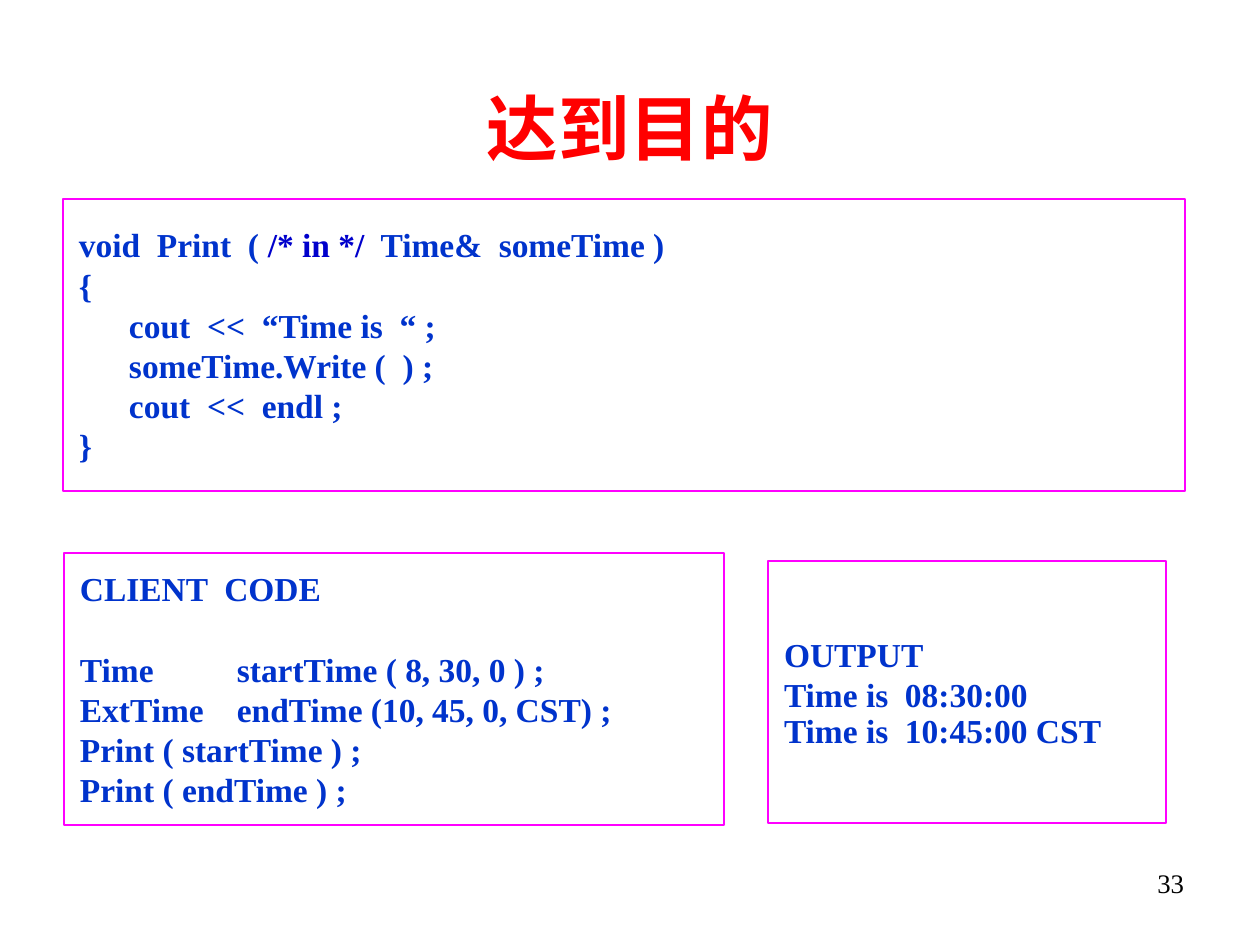
from lxml import etree
from pptx import Presentation
from pptx.dml.color import RGBColor
from pptx.enum.shapes import MSO_SHAPE
from pptx.enum.text import MSO_ANCHOR, PP_ALIGN
from pptx.oxml.ns import qn
from pptx.util import Pt

RECT = MSO_SHAPE.RECTANGLE
TOP, MIDDLE = MSO_ANCHOR.TOP, MSO_ANCHOR.MIDDLE
LEFT, CENTER, RIGHT = PP_ALIGN.LEFT, PP_ALIGN.CENTER, PP_ALIGN.RIGHT

EMU_PER_PX = 5690
SLIDE = (1260, 945)
FONT = "Times New Roman"
RED, BLUE, NAVY, MAGENTA, BLACK = "FF0000", "0033CC", "0000CC", "FF00FF", "000000"
NAME_TAB = 157  # where the variable names line up in the client code

# text, box, size, colour, bold, alignment, anchor
LABELS = [
    ("达到目的", (42, 77, 1176, 100), 32, RED, True, CENTER, MIDDLE),
    ("33", (903, 860, 294, 66), 12, BLACK, False, RIGHT, TOP),
]

# box, lines; a line is a list of (text, colour) runs
PANELS = {
    "function": ((63, 199, 1122, 292), [
        [("void  Print  ( ", BLUE), ("/* in */", NAVY), ("  Time&  someTime )", BLUE)],
        [("{", BLUE)],
        [("      cout  <<  “Time is  “ ;", BLUE)],
        [("      someTime.Write (  ) ;", BLUE)],
        [("      cout  <<  endl ;", BLUE)],
        [("}", BLUE)],
    ]),
    "client": ((64, 553, 660, 272), [
        [("CLIENT  CODE", BLUE)],
        [("Time\tstartTime ( 8, 30, 0 ) ;", BLUE)],
        [("ExtTime\tendTime (10, 45, 0, CST) ;", BLUE)],
        [("Print ( startTime ) ;", BLUE)],
        [("Print ( endTime ) ;", BLUE)],
    ]),
    "output": ((768, 561, 398, 262), [
        [("OUTPUT", BLUE)],
        [("Time is  08:30:00", BLUE)],
        [("Time is  10:45:00 CST", BLUE)],
    ]),
}


def px(n):
    return n * EMU_PER_PX


def rgb(color):
    return RGBColor.from_string(color)


def style(r, size, color, bold):
    r.font.name = FONT
    r.font.size = Pt(size)
    r.font.bold = bold
    r.font.color.rgb = rgb(color)


def set_frame(tf, anchor, inset_x, inset_y):
    tf.word_wrap = True
    tf.vertical_anchor = anchor
    tf.margin_left = tf.margin_right = px(inset_x)
    tf.margin_top = tf.margin_bottom = px(inset_y)


def add_tab(p, pos):
    tabs = etree.SubElement(p._p.get_or_add_pPr(), qn("a:tabLst"))
    etree.SubElement(tabs, qn("a:tab"), pos=str(px(pos)), algn="l")


def add_label(s, text, box, size, color, bold, align, anchor):
    tf = s.shapes.add_textbox(*map(px, box)).text_frame
    set_frame(tf, anchor, 13, 7)
    p = tf.paragraphs[0]
    p.text = text
    p.alignment = align
    style(p.runs[0], size, color, bold)


def add_panel(s, box, lines):
    """Draw an outlined box of text and return its paragraphs."""
    sp = s.shapes.add_shape(RECT, *map(px, box))
    sp.shadow.inherit = False
    sp.fill.background()
    sp.line.color.rgb = rgb(MAGENTA)
    sp.line.width = Pt(1)
    tf = sp.text_frame
    set_frame(tf, MIDDLE, 16, 8)
    for i, line in enumerate(lines):
        p = tf.paragraphs[0] if i == 0 else tf.add_paragraph()
        p.alignment = LEFT
        for text, color in line:
            r = p.add_run()
            r.text = text
            style(r, 15, color, True)
    return tf.paragraphs


prs = Presentation()
prs.slide_width, prs.slide_height = map(px, SLIDE)
s = prs.slides.add_slide(prs.slide_layouts[6])

for label in LABELS:
    add_label(s, *label)
panels = {name: add_panel(s, *panel) for name, panel in PANELS.items()}

declarations = panels["client"][1:3]
declarations[0].space_before = Pt(18)
for p in declarations:
    add_tab(p, NAME_TAB)
panels["output"][-1].line_spacing = 0.9

prs.save("out.pptx")
